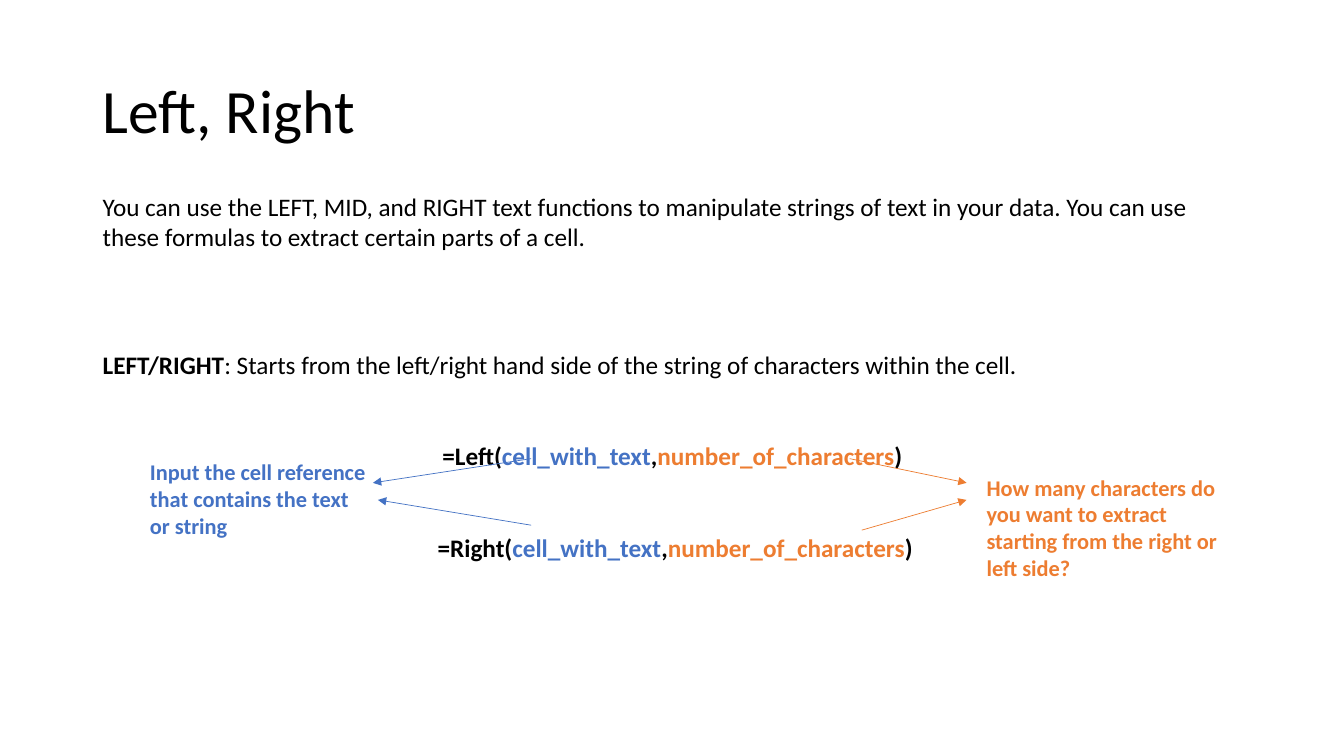
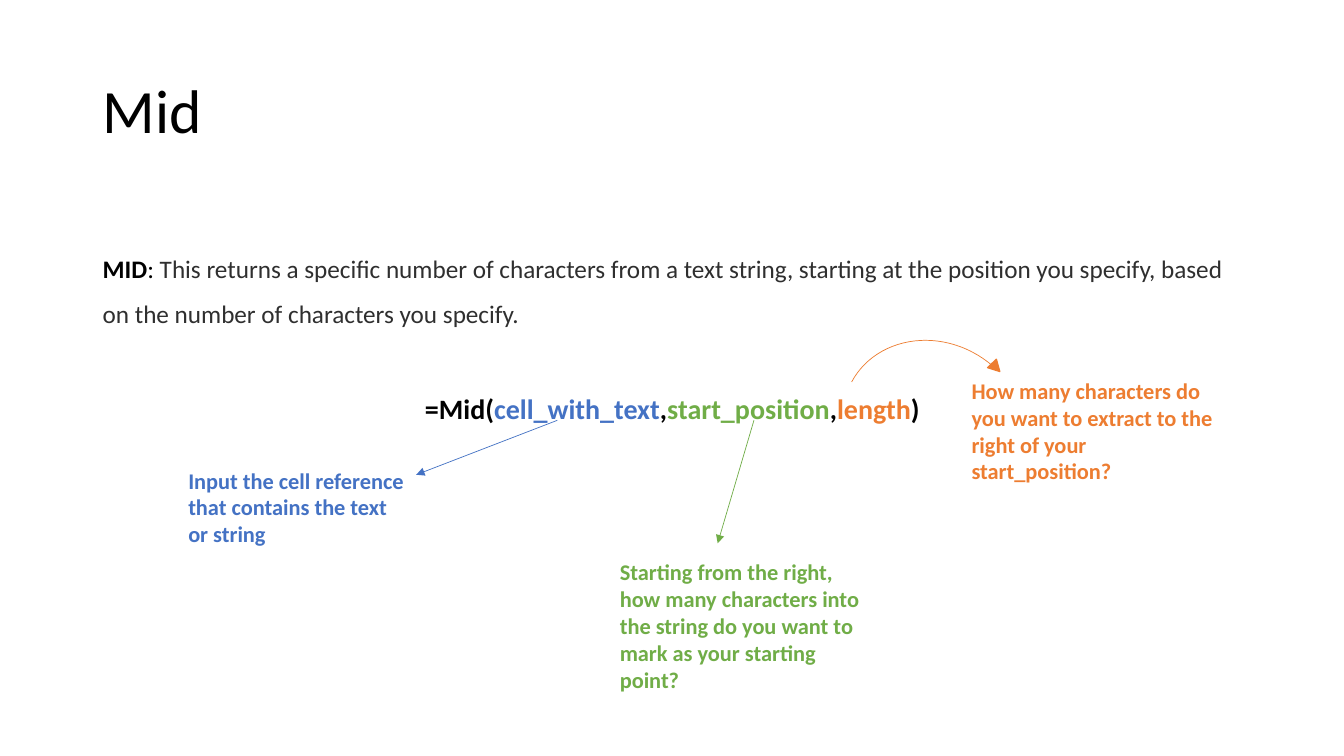
"""Build two slides that explain the LEFT, RIGHT and MID functions."""
from dataclasses import dataclass

from lxml.etree import SubElement as Sub
from pptx import Presentation
from pptx.dml.color import RGBColor as RGB
from pptx.enum.shapes import MSO_CONNECTOR as Link, MSO_SHAPE as Shape
from pptx.enum.text import MSO_ANCHOR as Anchor, PP_ALIGN as Align
from pptx.oxml.ns import qn
from pptx.util import Inches, Pt


@dataclass(frozen=True)
class Theme:
    """Hold the font, colours and sizes that the slides share."""
    font: str = "Calibri"
    black: str = "000000"
    gray: str = "2F2F2F"
    blue: str = "4472C4"
    orange: str = "ED7D31"
    green: str = "70AD47"
    title: int = 44
    large: int = 20
    body: int = 18
    note: int = 16
    thin: float = 0.5
    lead: float = 1.5
    gap: int = 33


T = Theme()
WIDE, HIGH = Inches(13.333), Inches(7.5)
HEAD = (6.9, 5.33, 86.25, 19.33)
CELL = "Input the cell reference that contains the text or string"


def place(*nums):
    """Turn percent shares of width and height, in turn, into lengths."""
    return [int(num / 100 * (HIGH if i % 2 else WIDE))
            for i, num in enumerate(nums)]


def write(frame, runs, first=False, size=T.body, color=T.black, bold=False,
          align=Align.LEFT, lead=1.0, before=0):
    """Write one paragraph from (text, format) runs."""
    para = frame.paragraphs[0] if first else frame.add_paragraph()
    para.alignment, para.line_spacing = align, lead
    para.space_before, para.space_after = Pt(before), Pt(0)
    for words, look in runs:
        run = para.add_run()
        run.text = words
        font = run.font
        font.name, font.size = T.font, Pt(size)
        font.bold = look.get("bold", bold)
        font.color.rgb = RGB.from_string(look.get("color", color))


def text(slide, box, *paras, anchor=Anchor.TOP, **base):
    """Add a text box of (runs, format) paragraphs with a base format."""
    frame = slide.shapes.add_textbox(*place(*box)).text_frame
    frame.word_wrap, frame.vertical_anchor = True, anchor
    for i, (runs, look) in enumerate(paras):
        write(frame, runs, first=i == 0, **{**base, **look})


def plain(words):
    """Make a paragraph of one run."""
    return [(words, {})], {}


def call(name, *args, **look):
    """Make a centred formula whose arguments have their own colours."""
    runs = [(f"{name}(", {})]
    for i, (word, color) in enumerate(args):
        if i:
            runs.append((",", {}))
        runs.append((word, {"color": color}))
    runs.append((")", {}))
    return runs, {"align": Align.CENTER, "bold": True, "lead": T.lead,
                  "before": T.gap, **look}


def note(slide, box, words, color):
    """Add a bold coloured hint."""
    text(slide, box, plain(words), size=T.note, color=color, bold=True)


def arrow(slide, start, end, color):
    """Draw a thin arrow from start to end."""
    line = slide.shapes.add_connector(Link.STRAIGHT, *place(*start, *end))
    line.line.color.rgb = RGB.from_string(color)
    line.line.width = Pt(T.thin)
    Sub(line.line._get_or_add_ln(), qn("a:tailEnd"), type="triangle")
    Sub(line._element.spPr, qn("a:effectLst"))


def shape(slide, kind, box, turn, color, width, fill=False):
    """Add a turned preset shape in one colour."""
    item = slide.shapes.add_shape(kind, *place(*box))
    item.shadow.inherit = False
    item.rotation = turn
    item.line.color.rgb = RGB.from_string(color)
    item.line.width = Pt(width)
    if fill:
        item.fill.solid()
        item.fill.fore_color.rgb = RGB.from_string(color)
    else:
        item.fill.background()
    return item


def page(deck, title):
    """Add a blank slide with its title."""
    slide = deck.slides.add_slide(deck.slide_layouts[6])
    text(slide, HEAD, plain(title), anchor=Anchor.MIDDLE,
         size=T.title, lead=0.9)
    return slide


def sides(deck):
    """Build the slide on LEFT and RIGHT."""
    slide = page(deck, "Left, Right")
    args = ("cell_with_text", T.blue), ("number_of_characters", T.orange)
    text(slide, (6.9, 24.67, 86.25, 62.67),
         plain("You can use the LEFT, MID, and RIGHT text functions to "
               "manipulate strings of text in your data. You can use these "
               "formulas to extract certain parts of a cell."),
         ([("LEFT/RIGHT", {"bold": True}),
           (": Starts from the left/right hand side of the string of "
            "characters within the cell. ", {})],
          {"lead": T.lead, "before": 58.6}),
         call("=Left", *args), call(" =Right", *args))
    note(slide, (10.42, 60, 17.78, 12.13), CELL, T.blue)
    note(slide, (72.67, 62, 20.4, 15.73),
         "How many characters do you want to extract starting from the "
         "right or left side?", T.orange)
    for start, end, color in (
            ((63.22, 60.67), (71.92, 63.87), T.orange),
            ((39.52, 60.67), (27.75, 63.87), T.blue),
            ((39.52, 69.47), (28.12, 66.13), T.blue),
            ((64.12, 70.13), (71.92, 66.13), T.orange)):
        arrow(slide, start, end, color)


def middle(deck):
    """Build the slide on MID."""
    slide = page(deck, "Mid")
    text(slide, (6.9, 30.8, 86.25, 26.13),
         ([("MID", {"bold": True}), (": ", {}),
           ("This returns a specific number of characters from a text "
            "string, starting at the position you specify, based on the "
            "number of characters you specify. ", {"color": T.gray})], {}),
         call("=Mid", ("cell_with_text", T.blue),
              ("start_position", T.green), ("length", T.orange),
              size=T.large),
         lead=T.lead)
    note(slide, (13.27, 61.07, 17.78, 12.13), CELL, T.blue)
    note(slide, (71.55, 49.2, 20.4, 15.73),
         "How many characters do you want to extract to the right of your "
         "start_position?", T.orange)
    note(slide, (45.38, 73.2, 19.42, 19.33),
         "Starting from the right, how many characters into the string do "
         "you want to mark as your starting point?", T.green)
    arrow(slide, (41.47, 55.6), (30.97, 62.8), T.blue)
    arrow(slide, (56.1, 55.6), (53.4, 71.87), T.green)
    arc = shape(slide, Shape.ARC, (63.3, 44, 12.38, 24.67), 298.1,
                T.orange, T.thin)
    arc.adjustments[0], arc.adjustments[1] = 162, 9.42
    shape(slide, Shape.ISOSCELES_TRIANGLE, (73.65, 47.87, 0.9, 1.47), 136.1,
          T.orange, 1, fill=True)


def main():
    """Build and save the deck."""
    deck = Presentation()
    deck.slide_width, deck.slide_height = WIDE, HIGH
    sides(deck)
    middle(deck)
    deck.save("out.pptx")


main()
